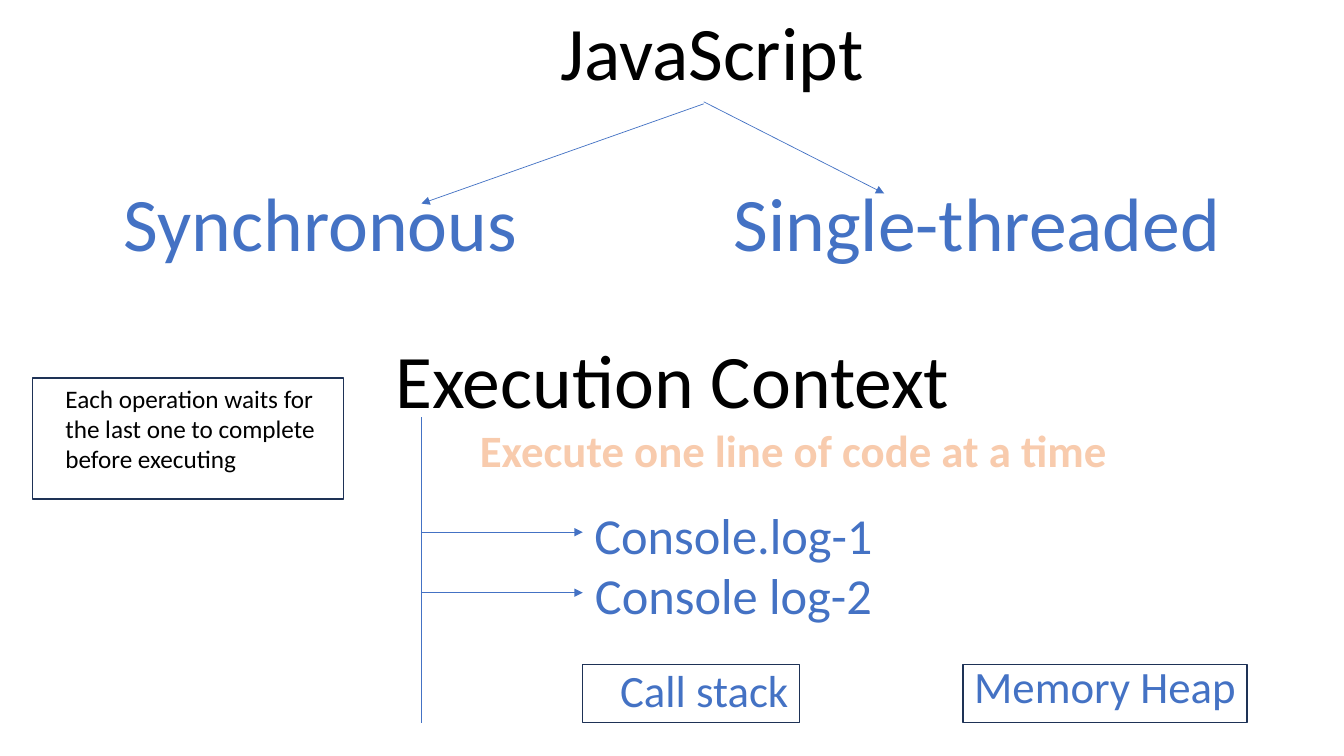
from pptx import Presentation
from pptx.dml.color import RGBColor
from pptx.enum.shapes import MSO_CONNECTOR as CONN, MSO_SHAPE as SHAPE
from pptx.enum.text import MSO_ANCHOR as ANCHOR, MSO_AUTO_SIZE as FIT, PP_ALIGN as ALIGN
from pptx.oxml.ns import qn
from pptx.util import Inches, Pt
from lxml.etree import SubElement

BLACK, BLUE, NAVY, PEACH = "000000", "4472C4", "1E3256", "F8CBAD"
TRUNK_X, BRANCH_X = 4.18, 5.78


def rgb(value):
    """Turn a hex string into a colour."""
    return RGBColor.from_string(value)


def place(sp, *box):
    """Set left, top, width and height in inches."""
    for name, value in zip(("left", "top", "width", "height"), box):
        setattr(sp, name, Inches(value))


def write(sp, lines, size, color, bold=False, align=ALIGN.CENTER, wrap=False):
    """Fill a text shape with formatted paragraphs."""
    tf = sp.text_frame
    frame = {"auto_size": FIT.NONE, "word_wrap": wrap, "vertical_anchor": ANCHOR.TOP}
    for name, value in frame.items():
        setattr(tf, name, value)
    tf.text = "\n".join(lines)
    for p in tf.paragraphs:
        p.alignment = align
        font = p.runs[0].font
        for name, value in {"name": "Calibri", "size": Pt(size), "bold": bold}.items():
            setattr(font, name, value)
        font.color.rgb = rgb(color)


def add_text(slide, box, lines, size, color, **style):
    """Add a text box."""
    sp = slide.shapes.add_textbox(*map(Inches, box))
    write(sp, lines, size, color, **style)


def add_frame(slide, box):
    """Add an unfilled rectangle with a navy outline."""
    sp = slide.shapes.add_shape(SHAPE.RECTANGLE, *map(Inches, box))
    sp.shadow.inherit = False
    sp.fill.background()
    sp.line.color.rgb = rgb(NAVY)
    sp.line.width = Pt(1)


def add_line(slide, points, arrow=True):
    """Add a thin blue line, with an arrowhead at its end if wanted."""
    cxn = slide.shapes.add_connector(CONN.STRAIGHT, *map(Inches, points))
    cxn.line.color.rgb = rgb(BLUE)
    cxn.line.width = Pt(0.5)
    if arrow:
        SubElement(cxn.line._get_or_add_ln(), qn("a:tailEnd"), type="triangle")
    SubElement(cxn._element.spPr, qn("a:effectLst"))


def main():
    """Build the slide and save it."""
    prs = Presentation()
    prs.slide_width, prs.slide_height = Inches(13.33), Inches(7.5)
    slide = prs.slides.add_slide(prs.slide_layouts[5])

    title = slide.shapes.title
    place(title, 5.44, 0, 3.41, 1.01)
    write(title, ["JavaScript "], 54, BLACK)

    add_text(slide, (1.11, 1.7, 4.14, 1.01), ["Synchronous"], 54, BLUE)
    add_text(slide, (7.15, 1.7, 5.08, 1.01), ["Single-threaded"], 54, BLUE)
    add_text(slide, (3.79, 3.25, 5.76, 1.92), ["Execution Context"], 54, BLACK)
    add_text(slide, (4.63, 4.14, 6.48, 0.64), ["Execute one line of code at a time"],
             32, PEACH, bold=True)
    add_text(slide, (BRANCH_X, 4.95, 2.99, 1.92), ["Console.log-1", "Console log-2"], 36, BLUE)

    add_line(slide, (6.98, 1.01, 8.77, 1.92))
    add_line(slide, (6.98, 1.03, TRUNK_X, 2.02))
    add_line(slide, (TRUNK_X, 4.14, TRUNK_X, 7.17), arrow=False)
    for y in (5.28, 5.88):
        add_line(slide, (TRUNK_X, y, BRANCH_X, y))

    add_text(slide, (6.04, 6.53, 1.89, 0.64), ["Call stack"], 32, BLUE)
    add_text(slide, (9.55, 6.49, 2.82, 0.64), ["Memory Heap"], 32, BLUE)
    add_text(slide, (0.55, 3.75, 2.79, 1.01),
             ["Each operation waits for the last one to complete before executing"],
             18, BLACK, align=ALIGN.LEFT, wrap=True)
    for box in ((BRANCH_X, 6.59, 2.15, 0.58), (9.55, 6.59, 2.82, 0.58), (0.32, 3.75, 3.09, 1.2)):
        add_frame(slide, box)

    prs.save("out.pptx")


if __name__ == "__main__":
    main()
